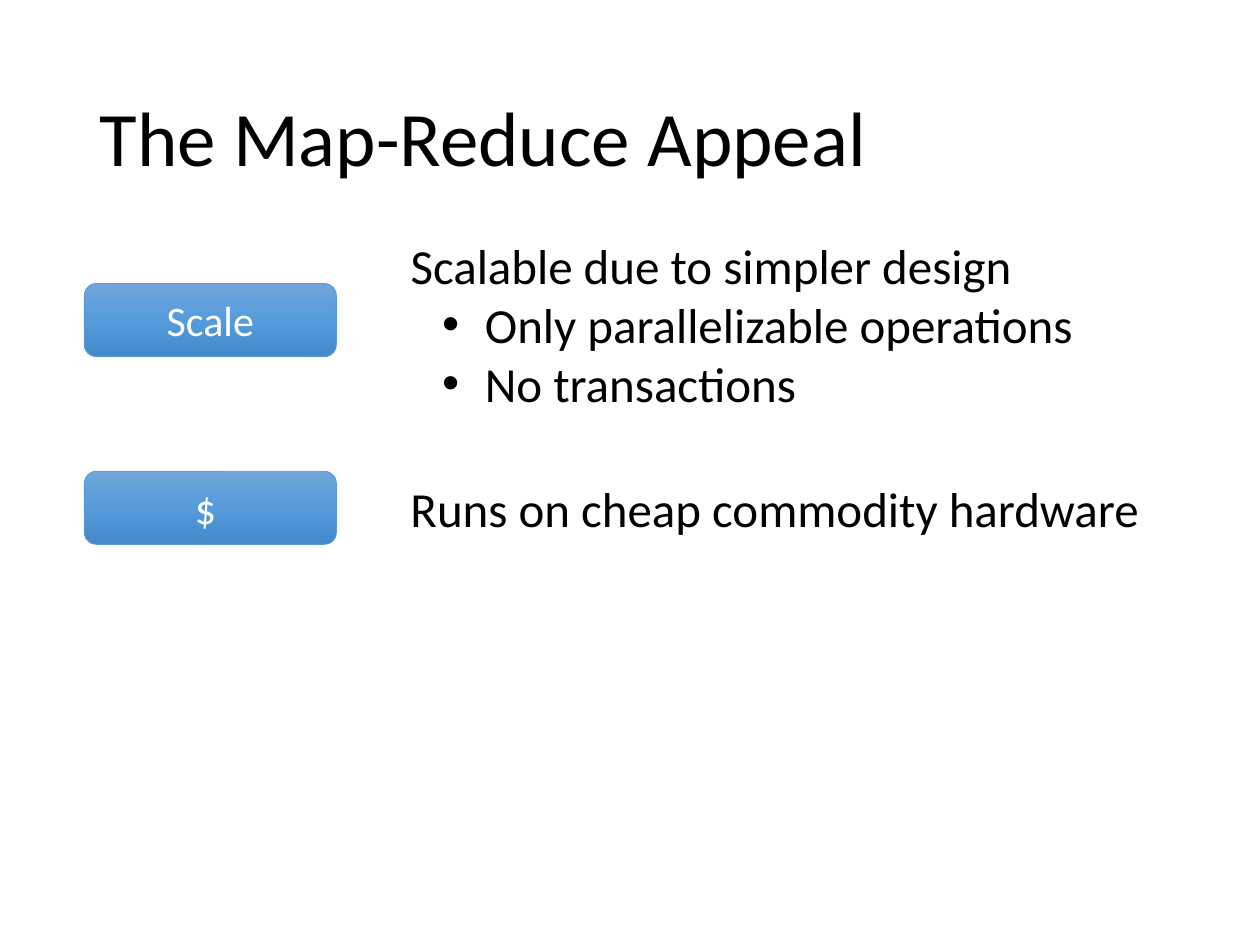
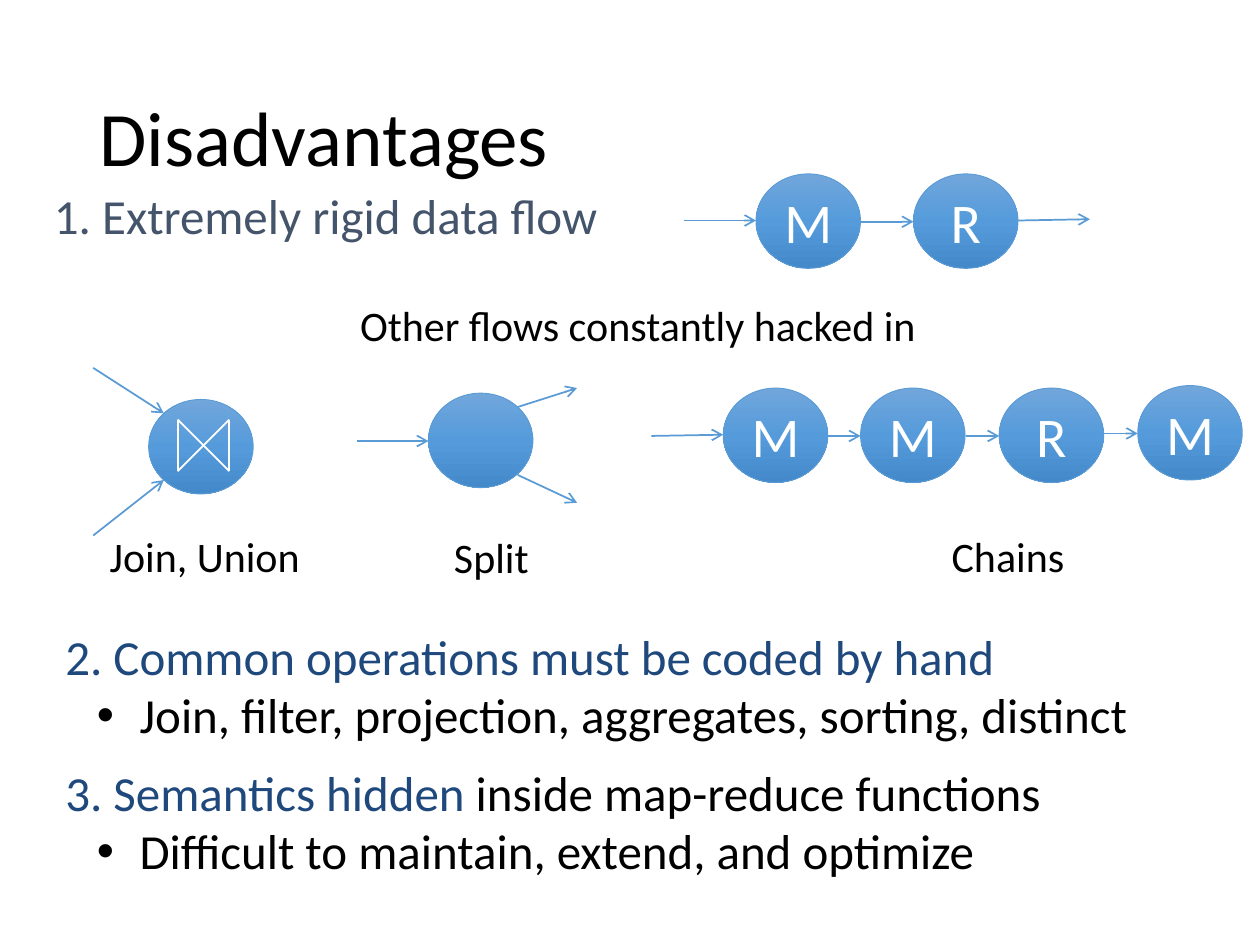
from typing import Any, NamedTuple
from copy import deepcopy

from lxml import etree
from pptx import Presentation
from pptx.dml.color import RGBColor
from pptx.enum.shapes import MSO_CONNECTOR, MSO_SHAPE
from pptx.enum.text import MSO_ANCHOR, MSO_AUTO_SIZE, PP_ALIGN
from pptx.oxml.ns import qn
from pptx.util import Emu, Pt

# Shared measures and style
EMU_PER_PX = 9144  # 100 px to the inch
SLIDE_WIDTH, SLIDE_HEIGHT = 1000, 750
TITLE_ONLY = 5
FONT = "Calibri"
BULLET_MARGIN, BULLET_INDENT = 59, -34
NODE_WIDTH, NODE_HEIGHT = 83, 75

BLACK = RGBColor(0x00, 0x00, 0x00)
WHITE = RGBColor(0xFF, 0xFF, 0xFF)
SLATE = RGBColor(0x44, 0x54, 0x6A)
NAVY = RGBColor(0x1F, 0x49, 0x7D)
BLUE = RGBColor(0x5B, 0x9B, 0xD5)
GRADIENT = (
    (0.0, RGBColor(0x71, 0xA6, 0xDB)),
    (0.5, RGBColor(0x55, 0x9B, 0xDB)),
    (1.0, RGBColor(0x44, 0x8A, 0xCA)),
)

LEFT, CENTER = PP_ALIGN.LEFT, PP_ALIGN.CENTER
MIDDLE = MSO_ANCHOR.MIDDLE
FIT_SHAPE = MSO_AUTO_SIZE.SHAPE_TO_FIT_TEXT
STRAIGHT = MSO_CONNECTOR.STRAIGHT
ELLIPSE, ROUNDED = MSO_SHAPE.OVAL, MSO_SHAPE.ROUNDED_RECTANGLE


class Rect(NamedTuple):
    left: int
    top: int
    width: int
    height: int


class Span(NamedTuple):
    text: str
    color: RGBColor = BLACK


class Para(NamedTuple):
    spans: tuple[Span, ...]
    bullet: bool = False


class TextBox(NamedTuple):
    rect: Rect
    paras: tuple[Para, ...]
    size: int = 28
    align: PP_ALIGN = LEFT
    wrap: bool = False


class Block(NamedTuple):
    rect: Rect
    text: str


class Node(NamedTuple):
    left: int
    top: int
    text: str = ""


class Segment(NamedTuple):
    x1: int
    y1: int
    x2: int
    y2: int


def px(length: int) -> Emu:
    return Emu(length * EMU_PER_PX)


def plain(text: str, color: RGBColor = BLACK) -> Para:
    return Para((Span(text, color),))


def bullet(text: str) -> Para:
    return Para((Span(text),), bullet=True)


# Drawing helpers
def fill_paragraph(paragraph: Any, para: Para, size: int, align: PP_ALIGN) -> None:
    paragraph.alignment = align
    if para.bullet:
        paragraph.level = 1
        properties = paragraph._p.get_or_add_pPr()
        properties.set("marL", str(px(BULLET_MARGIN)))
        properties.set("indent", str(px(BULLET_INDENT)))
        etree.SubElement(properties, qn("a:buFont")).set("typeface", "Arial")
        etree.SubElement(properties, qn("a:buChar")).set("char", "•")
    paragraph.font.name = FONT
    paragraph.font.size = Pt(size)
    one_color = len({span.color for span in para.spans}) == 1
    if one_color:
        paragraph.font.color.rgb = para.spans[0].color
    for span in para.spans:
        run = paragraph.add_run()
        run.text = span.text
        if not one_color:
            run.font.color.rgb = span.color


def add_titled_page(deck: Any, title: str) -> Any:
    page = deck.slides.add_slide(deck.slide_layouts[TITLE_ONLY])
    box = page.shapes.title
    box.left, box.top, box.width, box.height = map(px, Rect(69, 40, 862, 145))
    box.text_frame.vertical_anchor = MIDDLE
    paragraph = box.text_frame.paragraphs[0]
    paragraph.line_spacing = 0.9
    fill_paragraph(paragraph, plain(title), 44, LEFT)
    return page


def add_text(page: Any, item: TextBox) -> None:
    frame = page.shapes.add_textbox(*map(px, item.rect)).text_frame
    frame.word_wrap = item.wrap
    frame.auto_size = FIT_SHAPE
    for index, para in enumerate(item.paras):
        paragraph = frame.add_paragraph() if index else frame.paragraphs[0]
        fill_paragraph(paragraph, para, item.size, item.align)


def add_blue_shape(page: Any, kind: MSO_SHAPE, rect: Rect, text: str, size: int) -> None:
    shape = page.shapes.add_shape(kind, *map(px, rect))
    shape.shadow.inherit = False
    shape.fill.gradient()
    shape.fill.gradient_angle = 270
    stop_list = shape._element.spPr.find(qn("a:gradFill")).find(qn("a:gsLst"))
    stop_list.append(deepcopy(stop_list[0]))
    for stop, (position, color) in zip(shape.fill.gradient_stops, GRADIENT):
        stop.position = position
        stop.color.rgb = color
    shape.line.color.rgb = BLUE
    shape.line.width = Pt(0.5)
    if text:
        shape.text_frame.vertical_anchor = MIDDLE
        fill_paragraph(shape.text_frame.paragraphs[0], plain(text, WHITE), size, CENTER)


def add_node(page: Any, node: Node) -> None:
    rect = Rect(node.left, node.top, NODE_WIDTH, NODE_HEIGHT)
    add_blue_shape(page, ELLIPSE, rect, node.text, 32)


def add_segment(shapes: Any, segment: Segment, color: RGBColor = BLUE, arrow: bool = True) -> None:
    connector = shapes.add_connector(STRAIGHT, *map(px, segment))
    connector.line.color.rgb = color
    connector.line.width = Pt(1)
    if arrow:
        line = connector.line._get_or_add_ln()
        etree.SubElement(line, qn("a:tailEnd")).set("type", "arrow")
    etree.SubElement(connector._element.spPr, qn("a:effectLst"))


def add_join_symbol(page: Any, left: int, top: int, side: int) -> None:
    right, bottom = left + side, top + side
    group = page.shapes.add_group_shape()
    for segment in (
        Segment(left, top, left, bottom),
        Segment(right, top, right, bottom),
        Segment(right, top, left, bottom),
        Segment(left, top, right, bottom),
    ):
        add_segment(group.shapes, segment, WHITE, arrow=False)


# Slide 1: appeal
APPEAL_BLOCKS = (
    Block(Rect(67, 225, 200, 58), "Scale"),
    Block(Rect(67, 374, 200, 58), "$ "),
)
APPEAL_TEXTS = (
    TextBox(
        Rect(316, 182, 592, 151),
        (
            plain("Scalable due to simpler design"),
            bullet("Only parallelizable operations"),
            bullet("No transactions"),
        ),
        wrap=True,
    ),
    TextBox(Rect(316, 375, 617, 57), (plain("Runs on cheap commodity hardware"),), wrap=True),
)

# Slide 2: disadvantages
FLOW_NODES = (
    Node(600, 138, "M"),
    Node(725, 138, "R"),
    Node(118, 317),
    Node(340, 312),
    Node(574, 308, "M"),
    Node(683, 308, "M"),
    Node(793, 308, "R"),
    Node(903, 306, "M"),
)
FLOW_ARROWS = (
    # Rigid flow
    Segment(543, 175, 600, 175),
    Segment(683, 176, 725, 176),
    Segment(808, 175, 865, 174),
    # Join
    Segment(74, 425, 130, 381),
    Segment(74, 292, 130, 328),
    # Split
    Segment(283, 350, 340, 350),
    Segment(411, 323, 458, 308),
    Segment(411, 377, 458, 399),
    # Chain
    Segment(517, 346, 574, 345),
    Segment(657, 346, 683, 346),
    Segment(767, 346, 793, 346),
    Segment(876, 344, 903, 344),
)
FLOW_TEXTS = (
    TextBox(Rect(33, 142, 456, 57), (plain("1. Extremely rigid data flow", SLATE),)),
    TextBox(Rect(276, 233, 466, 51), (plain("Other flows constantly hacked in"),), 24),
    TextBox(Rect(58, 416, 209, 51), (plain("Join, Union"),), 24, CENTER, wrap=True),
    TextBox(Rect(350, 417, 80, 51), (plain("Split"),), 24, CENTER),
    TextBox(Rect(745, 416, 110, 51), (plain("Chains"),), 24, CENTER),
    TextBox(
        Rect(42, 492, 886, 104),
        (
            plain("2. Common operations must be coded by hand", NAVY),
            bullet("Join, filter, projection, aggregates, sorting, distinct"),
        ),
    ),
    TextBox(
        Rect(42, 600, 803, 104),
        (
            Para((Span("3. Semantics hidden ", NAVY), Span("inside map-reduce functions"))),
            bullet("Difficult to maintain, extend, and optimize"),
        ),
    ),
)


def build_appeal(deck: Any) -> None:
    page = add_titled_page(deck, "The Map-Reduce Appeal")
    for block in APPEAL_BLOCKS:
        add_blue_shape(page, ROUNDED, block.rect, block.text, 24)
    for item in APPEAL_TEXTS:
        add_text(page, item)


def build_disadvantages(deck: Any) -> None:
    page = add_titled_page(deck, "Disadvantages")
    for arrow in FLOW_ARROWS:
        add_segment(page.shapes, arrow)
    for node in FLOW_NODES:
        add_node(page, node)
    add_join_symbol(page, 141, 333, 41)
    for item in FLOW_TEXTS:
        add_text(page, item)


def main() -> None:
    deck = Presentation()
    deck.slide_width, deck.slide_height = px(SLIDE_WIDTH), px(SLIDE_HEIGHT)
    build_appeal(deck)
    build_disadvantages(deck)
    deck.save("out.pptx")


if __name__ == "__main__":
    main()
